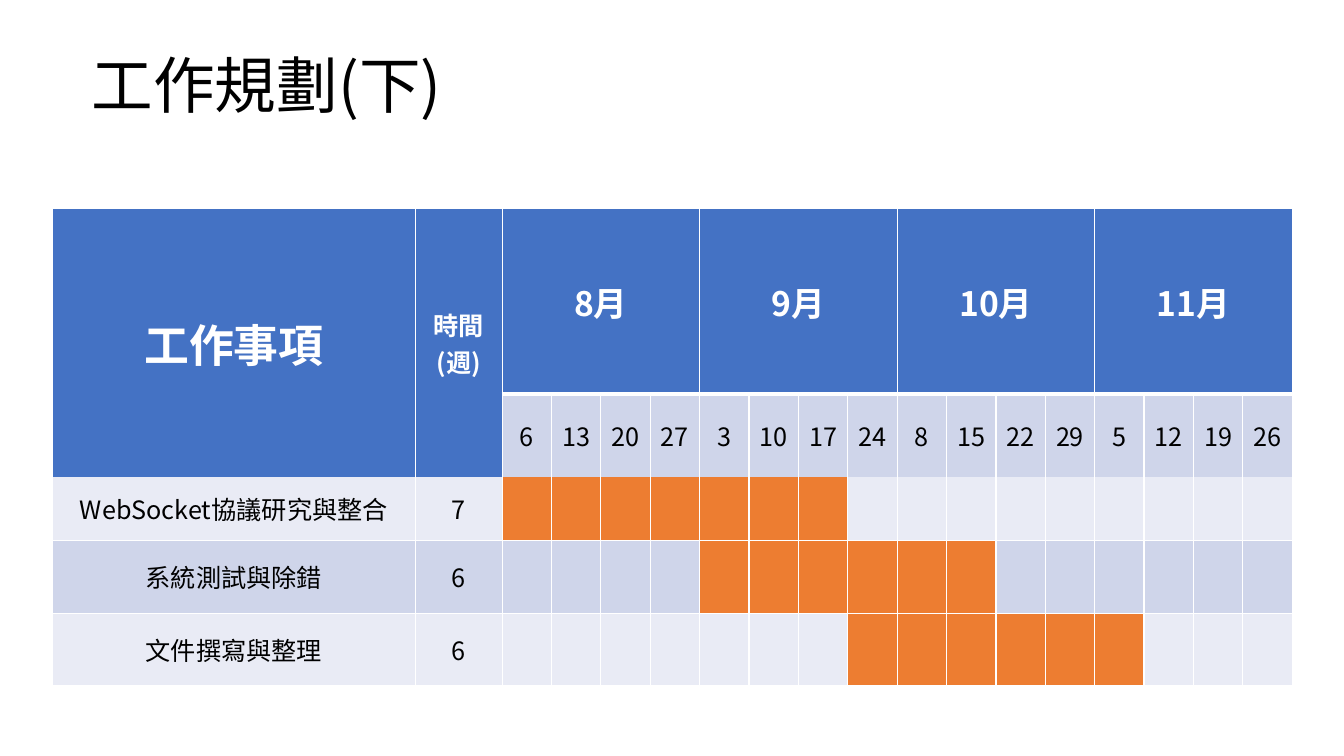
from lxml.etree import SubElement
from pptx import Presentation
from pptx.dml.color import RGBColor
from pptx.enum.text import MSO_ANCHOR as Anchor, PP_ALIGN as Align
from pptx.oxml.ns import qn
from pptx.util import Inches, Pt

# Content
TITLE = "工作規劃(下)"
HEADINGS = [("工作事項", 32), ("時間(週)", 18)]
MONTHS = {
    "8月": [6, 13, 20, 27],
    "9月": [3, 10, 17, 24],
    "10月": [8, 15, 22, 29],
    "11月": [5, 12, 19, 26],
}
TASKS = [  # name, first week (counted from 0), length in weeks
    ("WebSocket協議研究與整合", 0, 7),
    ("系統測試與除錯", 4, 6),
    ("文件撰寫與整理", 7, 6),
]

# Look and grid, in inches
FONT = "Noto Sans CJK TC"
COLORS = {"header": "4472C4", "dark_band": "CFD5EA", "light_band": "E9EBF5",
          "bar": "ED7D31", "white": "FFFFFF", "black": "000000"}
WEEKS = [day for days in MONTHS.values() for day in days]
WEEKS_PER_MONTH = 4
FIRST_WEEK = len(HEADINGS)
FIRST_TASK = 2
COLUMNS = [3.6, 0.86] + [0.49] * len(WEEKS)
ROWS = [1.84, 0.4, 0.63, 0.72, 0.72]


def write(frame, text, size=18, color="black", bold=False, align=Align.CENTER):
    paragraph = frame.paragraphs[0]
    paragraph.alignment = align
    run = paragraph.add_run()
    run.text = str(text)
    run.font.size = Pt(size)
    run.font.bold = bold
    run.font.color.rgb = RGBColor.from_string(COLORS[color])
    run.font.name = FONT
    SubElement(run.font._element, qn("a:ea"), typeface=FONT)


def add_border(properties, side, width):
    line = SubElement(properties, qn(f"a:ln{side}"), w=str(Pt(width)))
    if width:
        fill = SubElement(line, qn("a:solidFill"))
        SubElement(fill, qn("a:srgbClr"), val=COLORS["white"])
    else:
        SubElement(line, qn("a:noFill"))


def edge_width(edge, column):
    """Width of the horizontal rule above row number edge."""
    if edge == 1:
        return 3 if column >= FIRST_WEEK else 0
    return 0 if edge == FIRST_TASK else 1


def fill_name(row, column):
    if row == 0 or (row < FIRST_TASK and column < FIRST_WEEK):
        return "header"
    if row >= FIRST_TASK:
        _, start, length = TASKS[row - FIRST_TASK]
        if start <= column - FIRST_WEEK < start + length:
            return "bar"
    return "dark_band" if row % 2 else "light_band"


def style_cell(cell, row, column):
    cell.vertical_anchor = Anchor.MIDDLE
    properties = cell._tc.get_or_add_tcPr()
    for side, width in (("L", 1), ("R", 1), ("T", edge_width(row, column)),
                        ("B", edge_width(row + 1, column))):
        add_border(properties, side, width)
    cell.fill.solid()
    cell.fill.fore_color.rgb = RGBColor.from_string(COLORS[fill_name(row, column)])


def add_schedule(slide):
    table = slide.shapes.add_table(
        len(ROWS), len(COLUMNS), Inches(0.52), Inches(2.07),
        Inches(sum(COLUMNS)), Inches(sum(ROWS))).table
    for column, width in zip(table.columns, COLUMNS):
        column.width = Inches(width)
    for row, height in zip(table.rows, ROWS):
        row.height = Inches(height)
    for row in range(len(ROWS)):
        for column in range(len(COLUMNS)):
            style_cell(table.cell(row, column), row, column)

    # Headings, months and week dates
    for column, (heading, size) in enumerate(HEADINGS):
        table.cell(0, column).merge(table.cell(1, column))
        write(table.cell(0, column).text_frame, heading, size=size,
              color="white", bold=True)
    for index, month in enumerate(MONTHS):
        left = FIRST_WEEK + index * WEEKS_PER_MONTH
        table.cell(0, left).merge(table.cell(0, left + WEEKS_PER_MONTH - 1))
        write(table.cell(0, left).text_frame, month, size=24,
              color="white", bold=True)
    for column, day in enumerate(WEEKS, FIRST_WEEK):
        write(table.cell(1, column).text_frame, day)

    # Task names and durations
    for row, (name, _, length) in enumerate(TASKS, FIRST_TASK):
        write(table.cell(row, 0).text_frame, name)
        write(table.cell(row, 1).text_frame, length)


def main():
    presentation = Presentation()
    presentation.slide_width, presentation.slide_height = Inches(13.33), Inches(7.5)
    slide = presentation.slides.add_slide(presentation.slide_layouts[5])

    # Title
    title = slide.shapes.title
    title.left, title.top = Inches(0.81), Inches(0.15)
    title.width, title.height = Inches(10.94), Inches(1.45)
    title.text_frame.vertical_anchor = Anchor.MIDDLE
    write(title.text_frame, TITLE, size=44, align=Align.LEFT)
    title.text_frame.paragraphs[0].line_spacing = 0.9

    add_schedule(slide)
    presentation.save("out.pptx")


if __name__ == "__main__":
    main()
